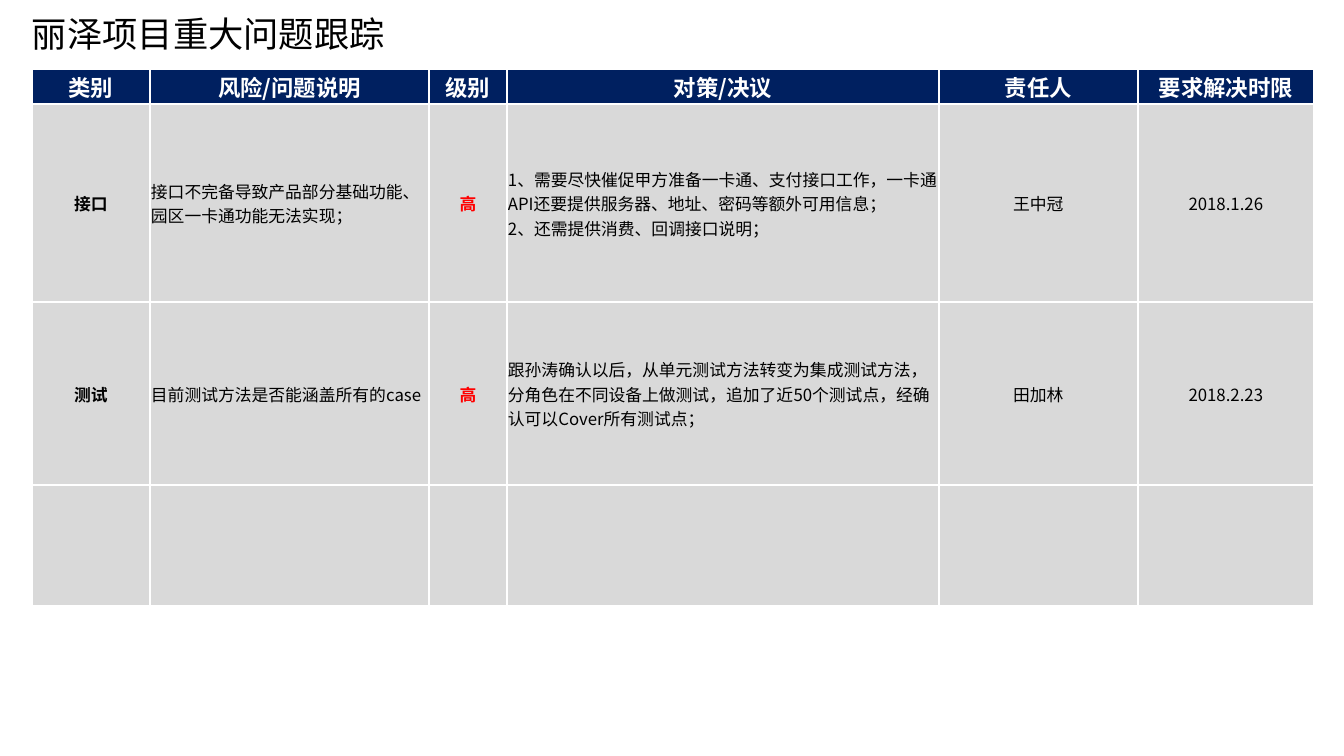
from lxml.etree import SubElement
from pptx import Presentation
from pptx.dml.color import RGBColor
from pptx.enum.text import MSO_ANCHOR, PP_ALIGN
from pptx.oxml.ns import qn
from pptx.util import Pt

SCALE = 914400 / 100.8
FONT = "Noto Sans CJK SC"
NAVY, GRAY, RED, BLACK, WHITE = "002060", "D9D9D9", "FF0000", "000000", "FFFFFF"
WIDTHS = [118, 279, 78, 432, 199, 176]
HEIGHTS = [35, 198, 183, 121]
ROWS = [
    ["类别", "风险/问题说明", "级别", "对策/决议", "责任人", "要求解决时限"],
    ["接口", "接口不完备导致产品部分基础功能、园区一卡通功能无法实现；", "高",
     "1、需要尽快催促甲方准备一卡通、支付接口工作，一卡通API还要提供服务器、地址、密码等额外可用信息；\n"
     "2、还需提供消费、回调接口说明；", "王中冠", "2018.1.26"],
    ["测试", "目前测试方法是否能涵盖所有的case", "高",
     "跟孙涛确认以后，从单元测试方法转变为集成测试方法，分角色在不同设备上做测试，"
     "追加了近50个测试点，经确认可以Cover所有测试点；", "田加林", "2018.2.23"],
    [""] * 6,
]


def px(num):
    """Turn pixels into EMU."""
    return round(num * SCALE)


def paint(hue):
    """Turn a hex string into a colour."""
    return RGBColor.from_string(hue)


def write(frame, text, size, hue, bold=False, align=PP_ALIGN.LEFT):
    """Fill a text frame and format its runs."""
    frame.text = text
    frame.word_wrap = True
    for para in frame.paragraphs:
        para.alignment = align
        for run in para.runs:
            font = run.font
            font.name, font.size, font.bold = FONT, Pt(size), bold
            font.color.rgb = paint(hue)
            SubElement(run._r.get_or_add_rPr(), qn("a:ea"), typeface=FONT)


def edge(cell):
    """Draw white lines on all sides of a cell."""
    props = cell._tc.get_or_add_tcPr()
    for side in ("lnL", "lnR", "lnT", "lnB"):
        line = SubElement(props, qn("a:" + side), w=str(Pt(1.5)))
        fill = SubElement(line, qn("a:solidFill"))
        SubElement(fill, qn("a:srgbClr"), val=WHITE)


def style(cell, text, row, col):
    """Format one cell by its place in the table."""
    edge(cell)
    head = row == 0
    cell.fill.solid()
    cell.fill.fore_color.rgb = paint(NAVY if head else GRAY)
    cell.vertical_anchor = MSO_ANCHOR.MIDDLE
    cell.margin_left = cell.margin_right = cell.margin_top = px(1)
    cell.margin_bottom = 0
    hue = WHITE if head else RED if col == 2 else BLACK
    align = PP_ALIGN.LEFT if not head and col in (1, 3) else PP_ALIGN.CENTER
    write(cell.text_frame, text, 16 if head else 12, hue, head or col in (0, 2), align)


def title(slide, text):
    """Add the slide heading."""
    frame = slide.shapes.add_textbox(px(22), px(18), px(1229), px(36)).text_frame
    frame.vertical_anchor = MSO_ANCHOR.MIDDLE
    write(frame, text, 25.2, BLACK)
    frame.paragraphs[0].line_spacing = 0.9


def grid(slide):
    """Add the table of issues."""
    table = slide.shapes.add_table(len(ROWS), len(WIDTHS), px(32), px(69),
                                   px(sum(WIDTHS)), px(sum(HEIGHTS))).table
    for col, width in enumerate(WIDTHS):
        table.columns[col].width = px(width)
    for row, texts in enumerate(ROWS):
        table.rows[row].height = px(HEIGHTS[row])
        for col, text in enumerate(texts):
            style(table.cell(row, col), text, row, col)


def main():
    """Build and save the slide."""
    deck = Presentation()
    deck.slide_width, deck.slide_height = px(1344), px(756)
    slide = deck.slides.add_slide(deck.slide_layouts[6])
    title(slide, "丽泽项目重大问题跟踪")
    grid(slide)
    deck.save("out.pptx")


if __name__ == "__main__":
    main()
